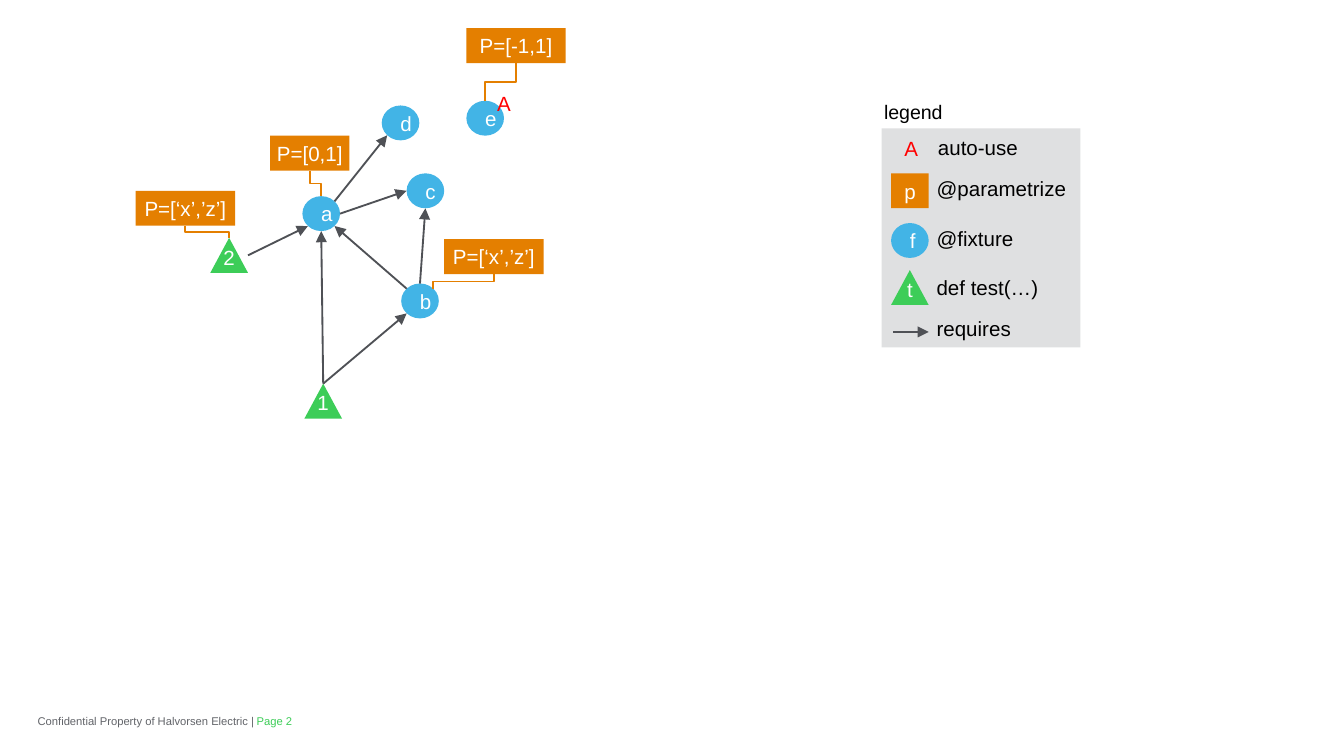
from dataclasses import dataclass
from math import sqrt

from lxml import etree
from pptx import Presentation
from pptx.dml.color import RGBColor
from pptx.enum.shapes import MSO_CONNECTOR, MSO_SHAPE
from pptx.enum.text import MSO_ANCHOR, MSO_AUTO_SIZE, PP_ALIGN
from pptx.oxml.ns import qn
from pptx.util import Inches, Pt

RECT, OVAL, TRIANGLE = MSO_SHAPE.RECTANGLE, MSO_SHAPE.OVAL, MSO_SHAPE.ISOSCELES_TRIANGLE
STRAIGHT, ELBOW = MSO_CONNECTOR.STRAIGHT, MSO_CONNECTOR.ELBOW
LEFT, CENTER = PP_ALIGN.LEFT, PP_ALIGN.CENTER
MIDDLE, TOP = MSO_ANCHOR.MIDDLE, MSO_ANCHOR.TOP
GROW = MSO_AUTO_SIZE.SHAPE_TO_FIT_TEXT

# The 16:9 slide is a grid of square cells; every length below counts cells
COLUMNS = 1000
ROWS = COLUMNS * 9 / 16
CELL = Inches(10) // COLUMNS
SYMBOL_W, SYMBOL_H, TEXT_H = 28, 26, 29


@dataclass(frozen=True)
class Theme:
    font: str = "Arial"
    body: float = 11
    heading: float = 10.5
    footer: float = 6
    line: float = 1
    panel: str = "DFE0E1"
    fixture: str = "42B4E6"
    test: str = "3DCD58"
    parameter: str = "E47F00"
    arrow: str = "4F5156"
    auto_use: str = "FF0000"
    muted: str = "626469"
    dark: str = "000000"
    light: str = "FFFFFF"


@dataclass(frozen=True)
class Symbol:
    text: str
    left: float
    top: float
    kind: int
    fill: str

    def site(self, side: str) -> tuple[float, float]:
        """Point on the outline; two letters such as 'tr' mean a diagonal."""
        reach = 1 / sqrt(2) if len(side) == 2 else 1
        dx = ("r" in side) - ("l" in side)
        dy = ("b" in side) - ("t" in side)
        return (self.left + SYMBOL_W / 2 * (1 + dx * reach),
                self.top + SYMBOL_H / 2 * (1 + dy * reach))


@dataclass(frozen=True)
class Callout:
    text: str
    left: float
    top: float
    width: float
    target: str
    side: str = "t"


@dataclass(frozen=True)
class Requirement:
    source: str
    source_side: str
    target: str
    target_side: str


@dataclass(frozen=True)
class Label:
    text: str
    left: float
    top: float
    width: float
    color: str
    size: float


def cells(*counts: float) -> list[int]:
    return [round(count * CELL) for count in counts]


def write(shape, text: str, color: str, size: float, align: int, anchor: int) -> None:
    frame = shape.text_frame
    frame.text = text
    frame.vertical_anchor = anchor
    paragraph = frame.paragraphs[0]
    paragraph.alignment = align
    paragraph.font.name = THEME.font
    paragraph.font.size = Pt(size)
    paragraph.font.color.rgb = RGBColor.from_string(color)


def remove_insets(frame) -> None:
    frame.margin_left = frame.margin_right = frame.margin_top = frame.margin_bottom = 0


def add_block(shapes, kind: int, left: float, top: float, width: float, height: float, fill: str):
    block = shapes.add_shape(kind, *cells(left, top, width, height))
    block.shadow.inherit = False
    block.fill.solid()
    block.fill.fore_color.rgb = RGBColor.from_string(fill)
    block.line.fill.background()
    return block


def add_label(shapes, label: Label, align: int = LEFT) -> None:
    box = shapes.add_textbox(*cells(label.left, label.top, label.width, TEXT_H))
    box.text_frame.word_wrap = False
    box.text_frame.auto_size = GROW
    write(box, label.text, label.color, label.size, align, TOP)


def add_symbol(shapes, symbol: Symbol) -> None:
    if symbol.kind == TRIANGLE:
        shapes = shapes.add_group_shape().shapes
    block = add_block(shapes, symbol.kind, symbol.left, symbol.top, SYMBOL_W, SYMBOL_H, symbol.fill)
    if symbol.kind == TRIANGLE:
        add_label(shapes, Label(symbol.text, symbol.left - 0.5, symbol.top, 29,
                                THEME.light, THEME.body), CENTER)
    else:
        write(block, symbol.text, THEME.light, THEME.body, CENTER, MIDDLE)


def add_line(shapes, kind: int, start: tuple, end: tuple, color: str):
    line = shapes.add_connector(kind, *cells(*start, *end))
    line.line.color.rgb = RGBColor.from_string(color)
    line.line.width = Pt(THEME.line)
    etree.SubElement(line._element.spPr, qn("a:effectLst"))
    return line


def add_arrow(shapes, start: tuple, end: tuple) -> None:
    arrow = add_line(shapes, STRAIGHT, start, end, THEME.arrow)
    outline = arrow._element.spPr.find(qn("a:ln"))
    etree.SubElement(outline, qn("a:tailEnd"), type="triangle")


def add_drop(shapes, start: tuple, end: tuple) -> None:
    """Elbow that leaves downwards: a sideways elbow turned a quarter."""
    (x1, y1), (x2, y2) = start, end
    mid_x, mid_y = (x1 + x2) / 2, (y1 + y2) / 2
    half_w, half_h = (y2 - y1) / 2, abs(x2 - x1) / 2
    turn = 90
    if x2 > x1:
        half_w, turn = -half_w, 270
    drop = add_line(shapes, ELBOW, (mid_x - half_w, mid_y - half_h),
                    (mid_x + half_w, mid_y + half_h), THEME.parameter)
    drop._element.spPr.find(qn("a:xfrm")).set("rot", str(turn * 60000))


def add_callout(shapes, callout: Callout) -> None:
    block = add_block(shapes, RECT, callout.left, callout.top, callout.width, SYMBOL_H,
                      THEME.parameter)
    remove_insets(block.text_frame)
    write(block, callout.text, THEME.light, THEME.body, CENTER, MIDDLE)
    add_drop(shapes, (callout.left + callout.width / 2, callout.top + SYMBOL_H),
             NODES[callout.target].site(callout.side))


def add_footer(shapes, text: str, left: float, width: float, color: str) -> None:
    box = shapes.add_textbox(*cells(left, 531.5, width, 10))
    box.text_frame.word_wrap = True
    box.text_frame.auto_size = GROW
    remove_insets(box.text_frame)
    write(box, text, color, THEME.footer, LEFT, MIDDLE)


THEME = Theme()
NODES = {node.text: node for node in (
    Symbol("1", 226.5, 285.5, TRIANGLE, THEME.test),
    Symbol("2", 156.5, 177, TRIANGLE, THEME.test),
    Symbol("a", 225, 146, OVAL, THEME.fixture),
    Symbol("b", 298.5, 211, OVAL, THEME.fixture),
    Symbol("c", 302.5, 129, OVAL, THEME.fixture),
    Symbol("d", 284, 78.5, OVAL, THEME.fixture),
    Symbol("e", 347, 75, OVAL, THEME.fixture),
)}
REQUIREMENTS = [Requirement(*ends) for ends in (
    ("1", "t", "a", "b"), ("1", "t", "b", "bl"), ("b", "tl", "a", "br"),
    ("a", "tr", "d", "bl"), ("a", "r", "c", "l"), ("b", "t", "c", "b"),
    ("2", "r", "a", "bl"),
)]
CALLOUTS = [
    Callout("P=[0,1]", 201, 101, 59, "a"),
    Callout("P=[‘x’,’z’]", 330.5, 178, 74, "b", "tr"),
    Callout("P=[‘x’,’z’]", 101, 142, 74, "2"),
    Callout("P=[-1,1]", 347, 21, 74, "e"),
]
LEGEND_SYMBOLS = [
    Symbol("p", 663, 129, RECT, THEME.parameter),
    Symbol("f", 663, 166, OVAL, THEME.fixture),
    Symbol("t", 663, 201, TRIANGLE, THEME.test),
]
LABELS = [Label("legend", 648, 69.5, 67, THEME.dark, THEME.heading)] + [
    Label(text, left, top, width, THEME.dark, THEME.body) for text, left, top, width in (
        ("auto-use", 688, 95.5, 82), ("@parametrize", 687, 126, 117), ("@fixture", 687, 163, 78),
        ("def test(…)", 687, 200, 96), ("requires", 687, 230.5, 76))
] + [Label("A", left, top, 31, THEME.auto_use, THEME.body) for left, top in ((663, 96), (360, 63))]

deck = Presentation()
deck.slide_width, deck.slide_height = cells(COLUMNS, ROWS)
canvas = deck.slides.add_slide(deck.slide_layouts[6]).shapes

# Legend panel and footer
add_block(canvas, RECT, 656, 95.5, 148, 163, THEME.panel)
add_footer(canvas, "Page 2", 191, 57, THEME.test)
add_footer(canvas, "Confidential Property of Halvorsen Electric |", 28, 165, THEME.muted)

# Dependency graph and legend symbols
for symbol in [*NODES.values(), *LEGEND_SYMBOLS]:
    add_symbol(canvas, symbol)
for need in REQUIREMENTS:
    add_arrow(canvas, NODES[need.source].site(need.source_side),
              NODES[need.target].site(need.target_side))
add_arrow(canvas, (664.5, 247), (691, 247))

# Parameter callouts and plain labels
for callout in CALLOUTS:
    add_callout(canvas, callout)
for label in LABELS:
    add_label(canvas, label)

deck.save("out.pptx")
